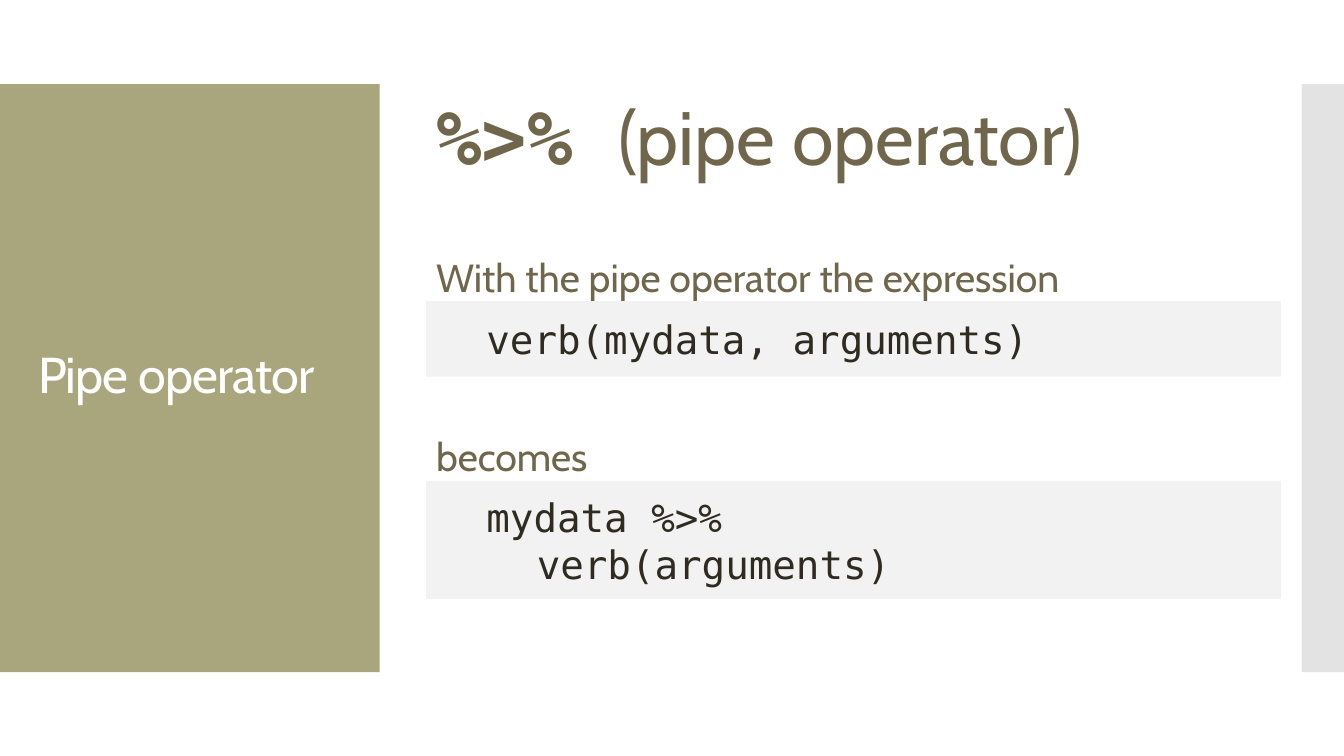
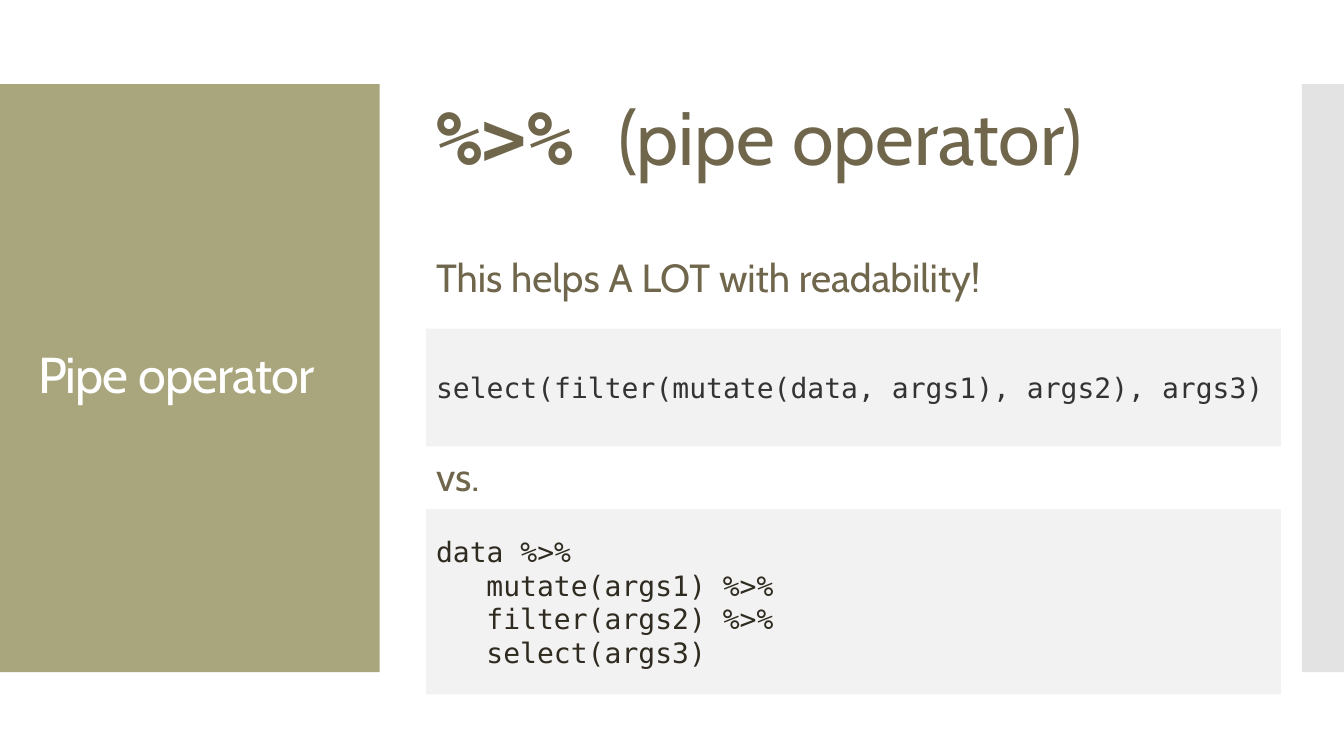
"""Build two slides that explain the pipe operator."""
from dataclasses import dataclass

from pptx import Presentation
from pptx.dml.color import RGBColor
from pptx.enum.shapes import MSO_SHAPE
from pptx.enum.text import MSO_ANCHOR, PP_ALIGN
from pptx.shapes.base import BaseShape
from pptx.slide import Slide
from pptx.text.text import TextFrame, _Paragraph
from pptx.util import Cm, Pt

TEXT_FONT = "Cabin"
CODE_FONT = "DejaVu Sans Mono"
OLIVE = "A9A57C"
PALE_GREY = "E3E3E3"
CODE_GREY = "F2F2F2"
BROWN = "6F664C"
INK = "2F2B20"
CHARCOAL = "333333"
WHITE = "FFFFFF"

PAGE_WIDTH, PAGE_HEIGHT = 33.87, 19.05
BAND_TOP, BAND_HEIGHT = 2.12, 14.82
BODY_LEFT, BODY_WIDTH = 10.74, 21.54
TAB = 1.27


@dataclass(frozen=True)
class Area:
    left: float
    top: float
    width: float
    height: float


@dataclass(frozen=True)
class Span:
    text: str
    size: float
    color: str
    font: str = TEXT_FONT
    bold: bool = False
    tracking: float = 0


@dataclass(frozen=True)
class Caption:
    text: str
    top: float


@dataclass(frozen=True)
class CodeLine:
    text: str
    tabs: int = 0


@dataclass(frozen=True)
class CodeBlock:
    top: float
    height: float
    size: float
    lines: tuple[CodeLine, ...]
    color: str = INK


@dataclass(frozen=True)
class Page:
    captions: tuple[Caption, ...]
    blocks: tuple[CodeBlock, ...]


SIDE_PANEL = Area(0, BAND_TOP, 9.57, BAND_HEIGHT)
EDGE_BAND = Area(32.81, BAND_TOP, 1.06, BAND_HEIGHT)
TITLE_AREA = Area(0.71, 3.12, 8.18, 12.78)
HEADING_AREA = Area(BODY_LEFT, 2.39, BODY_WIDTH, 2.6)

TITLE = (Span("Pipe operator", 36, WHITE, tracking=-0.6),)
HEADING = (
    Span("%>% ", 54, BROWN, CODE_FONT, bold=True),
    Span("(pipe operator)", 54, BROWN),
)

PAGES = (
    Page(
        (Caption("With the pipe operator the expression", 6.27), Caption("becomes", 10.77)),
        (
            CodeBlock(7.59, 1.9, 28, (CodeLine("verb(mydata, arguments)", 1),)),
            CodeBlock(12.12, 2.97, 28, (
                CodeLine("mydata %>%", 1),
                CodeLine("verb(arguments)", 2),
            )),
        ),
    ),
    Page(
        (Caption("This helps A LOT with readability!", 6.27), Caption("vs.", 11.28)),
        (
            CodeBlock(8.28, 2.97, 20, (
                CodeLine("select(filter(mutate(data, args1), args2), args3)"),
            ), CHARCOAL),
            CodeBlock(12.83, 4.67, 20, (
                CodeLine("data %>%"),
                CodeLine("mutate(args1) %>%", 1),
                CodeLine("filter(args2) %>%", 1),
                CodeLine("select(args3)", 1),
            )),
        ),
    ),
)


def rgb(color: str) -> RGBColor:
    return RGBColor.from_string(color)


def lengths(area: Area) -> tuple[Cm, Cm, Cm, Cm]:
    return Cm(area.left), Cm(area.top), Cm(area.width), Cm(area.height)


def add_block(slide: Slide, area: Area, color: str) -> BaseShape:
    block = slide.shapes.add_shape(MSO_SHAPE.RECTANGLE, *lengths(area))
    block.shadow.inherit = False
    block.fill.solid()
    block.fill.fore_color.rgb = rgb(color)
    block.line.fill.background()
    return block


def add_span(paragraph: _Paragraph, span: Span) -> None:
    run = paragraph.add_run()
    run.text = span.text
    run.font.name = span.font
    run.font.size = Pt(span.size)
    run.font.bold = span.bold
    run.font.color.rgb = rgb(span.color)
    if span.tracking:
        run.font._element.set("spc", str(round(span.tracking * 100)))


def add_text(slide: Slide, area: Area, spans: tuple[Span, ...],
             anchor: MSO_ANCHOR = MSO_ANCHOR.TOP, line_spacing: float = 0.9) -> None:
    frame = slide.shapes.add_textbox(*lengths(area)).text_frame
    frame.word_wrap = True
    frame.vertical_anchor = anchor
    paragraph = frame.paragraphs[0]
    paragraph.line_spacing = line_spacing
    for span in spans:
        add_span(paragraph, span)


def fill_code(frame: TextFrame, block: CodeBlock) -> None:
    frame.word_wrap = True
    frame.vertical_anchor = MSO_ANCHOR.MIDDLE
    for index, line in enumerate(block.lines):
        paragraph = frame.add_paragraph() if index else frame.paragraphs[0]
        paragraph.alignment = PP_ALIGN.LEFT
        paragraph._p.get_or_add_pPr().set("marL", str(Cm(line.tabs * TAB)))
        add_span(paragraph, Span(line.text, block.size, block.color, CODE_FONT))


def add_frame(slide: Slide) -> None:
    add_block(slide, SIDE_PANEL, OLIVE)
    add_block(slide, EDGE_BAND, PALE_GREY)
    add_text(slide, TITLE_AREA, TITLE, MSO_ANCHOR.MIDDLE)
    add_text(slide, HEADING_AREA, HEADING)


def add_page(deck: Presentation, page: Page) -> None:
    slide = deck.slides.add_slide(deck.slide_layouts[6])
    add_frame(slide)
    for caption in page.captions:
        area = Area(BODY_LEFT, caption.top, BODY_WIDTH, 1.5)
        add_text(slide, area, (Span(caption.text, 28, BROWN),), line_spacing=1.0)
    for block in page.blocks:
        area = Area(BODY_LEFT, block.top, BODY_WIDTH, block.height)
        fill_code(add_block(slide, area, CODE_GREY).text_frame, block)


def main() -> None:
    deck = Presentation()
    deck.slide_width, deck.slide_height = Cm(PAGE_WIDTH), Cm(PAGE_HEIGHT)
    for page in PAGES:
        add_page(deck, page)
    deck.save("out.pptx")


if __name__ == "__main__":
    main()
